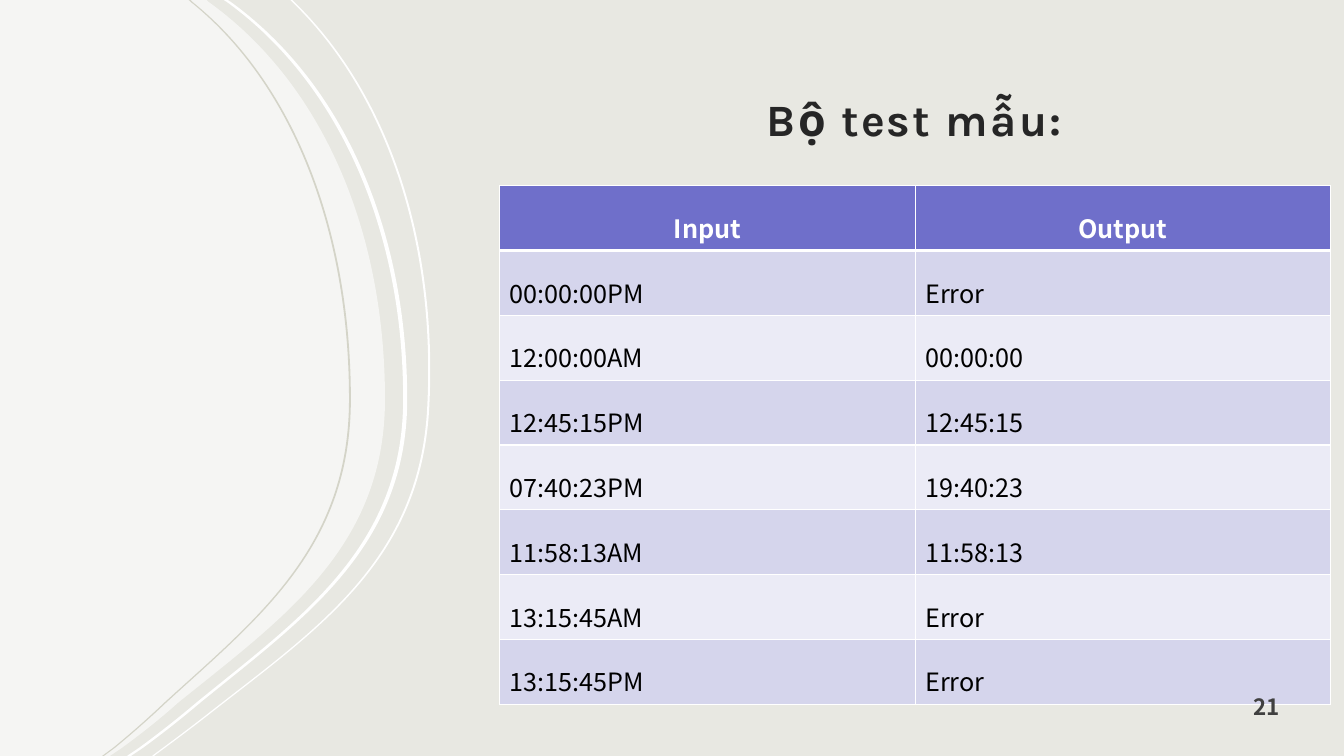
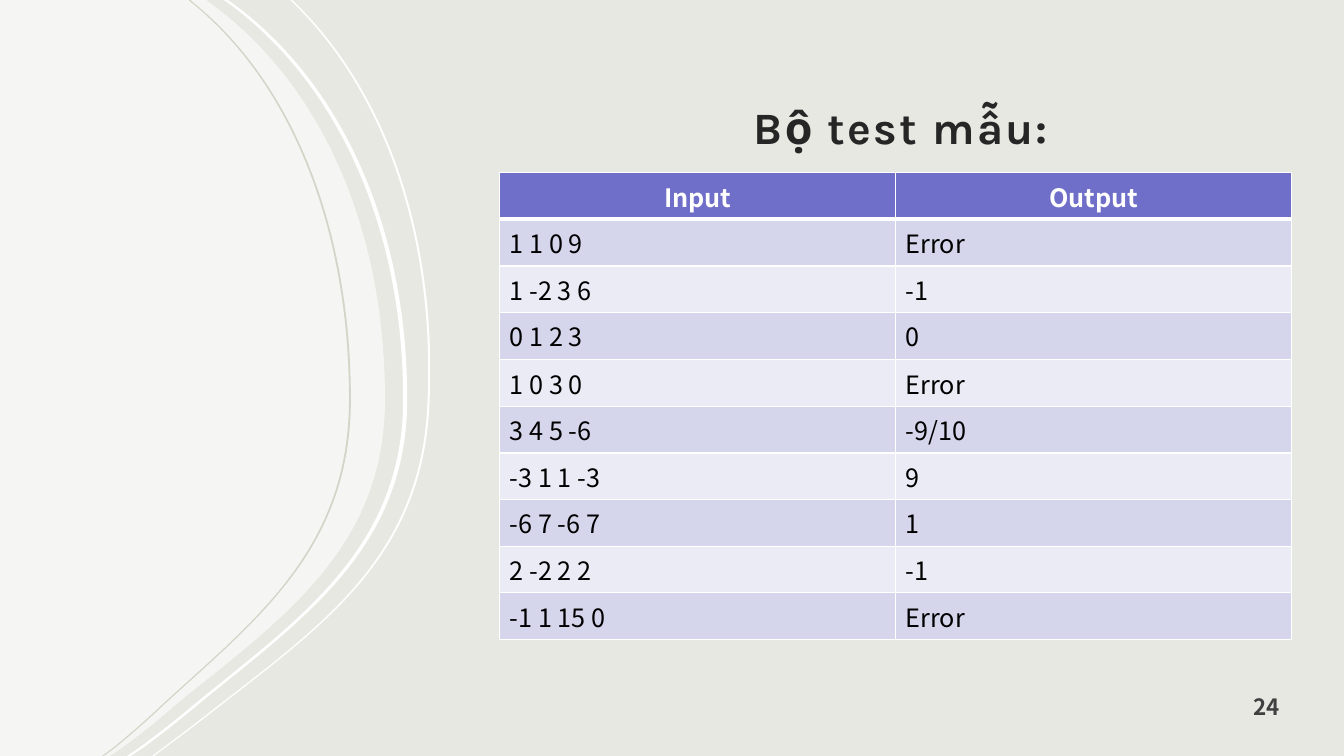
from lxml import etree
from pptx import Presentation
from pptx.dml import color
from pptx.enum import text
from pptx.oxml import ns
from pptx.util import Pt

BACKGROUND, WHITE, SAGE = "E8E8E2", "FFFFFF", "D4D4C8"
TITLE_INK, NUMBER_INK, CELL_INK = "262626", "404040", "000000"
HEADER_FILL, ROW_FILLS = "6F6FCA", ("D5D5EC", "EBEBF6")
TITLE_FONT, BODY_FONT = "Karla", "Noto Sans CJK JP"
TITLE_SIZE = (556, 69)
NUMBER_BOX = (828.3, 485.6, 94.3, 36)

# Each edge is a start, an anchor, three Bezier triples and an end.
EDGE_LENGTH, CURVE_STARTS = 12, (2, 5, 8)
EDGE_YS = (0, 1.4, 59.8, 164.9, 285.1, 391, 441.4, 501.8, 513.4, 524.2, 534.2, 540)
OUTER_YS = (0, 2.2, 67.7, 172.8, 289.4, 399.6, 448.6, 508.3, 519.1, 529.2, 539.3, 540)
PANEL_XS = (147.6, 149, 230.4, 275, 275, 275, 202.3, 127.4, 114.5, 100.8, 87.1, 78.5)
OUTER_XS = (208.8, 211, 277.9, 312.5, 306.7, 301.7, 228.2, 151.9, 138.2, 124.6, 110.9, 110.2)
MIDDLE_XS = (162.7, 164.9, 245.5, 290.9, 290.9, 290.9, 217.4, 143.3, 129.6, 115.9, 102.2, 93.6)
INNER_XS = (136.1, 137.5, 210.2, 250.6, 250.6, 250.6, 185, 118.8, 106.6, 94.3, 82.1, 74.2)
RIBBONS = (
    (OUTER_XS, OUTER_YS, 1.44, WHITE),
    (MIDDLE_XS, EDGE_YS, 2.88, WHITE),
    (INNER_XS, EDGE_YS, 1.3, SAGE),
)

TIME_TESTS = [
    ("Input", "Output"),
    ("00:00:00PM", "Error"),
    ("12:00:00AM", "00:00:00"),
    ("12:45:15PM", "12:45:15"),
    ("07:40:23PM", "19:40:23"),
    ("11:58:13AM", "11:58:13"),
    ("13:15:45AM", "Error"),
    ("13:15:45PM", "Error"),
]
FRACTION_TESTS = [
    ("Input", "Output"),
    ("1 1 0 9", "Error"),
    ("1 -2 3 6", "-1"),
    ("0 1 2 3", "0"),
    ("1 0 3 0", "Error"),
    ("3 4 5 -6", "-9/10"),
    ("-3 1 1 -3", "9"),
    ("-6 7 -6 7", "1"),
    ("2 -2 2 2", "-1"),
    ("-1 1 15 0", "Error"),
]


def rgb(value):
    return color.RGBColor.from_string(value)


def style_font(font, name, size, ink, bold):
    font.name, font.size, font.bold = name, Pt(size), bold
    font.color.rgb = rgb(ink)


def set_frame(frame):
    """Give titles and numbers their shared margins and bottom anchor."""
    frame.word_wrap = True
    frame.auto_size = text.MSO_AUTO_SIZE.NONE
    frame.vertical_anchor = text.MSO_ANCHOR.BOTTOM
    frame.margin_left = frame.margin_right = frame.margin_top = Pt(8.64)
    frame.margin_bottom = Pt(7.2)


def bend_edges(shape, edges):
    """Turn each triple of straight segments into one Bezier curve."""
    outline = shape.element.spPr.find(".//" + ns.qn("a:path"))
    lines = outline.findall(ns.qn("a:lnTo"))
    for edge in range(edges):
        for start in CURVE_STARTS:
            first = edge * EDGE_LENGTH + start - 1
            curve = etree.Element(ns.qn("a:cubicBezTo"))
            lines[first].addprevious(curve)
            for line in lines[first:first + 3]:
                curve.append(line[0])
                outline.remove(line)


def add_outline(page, left, top, points, edges, fill):
    corners = [(Pt(left + x), Pt(top + y)) for x, y in points]
    builder = page.shapes.build_freeform(*corners[0], scale=1.0)
    builder.add_line_segments(corners[1:], close=True)
    shape = builder.convert_to_shape()
    bend_edges(shape, edges)
    shape.shadow.inherit = False
    shape.fill.solid()
    shape.fill.fore_color.rgb = rgb(fill)
    shape.line.fill.background()
    return shape


def draw_swoosh(page, left, top):
    """Draw the pale side panel and its three ribbons."""
    edge = list(zip(PANEL_XS, EDGE_YS))
    panel = add_outline(page, left, top, edge + [(0, 540), (0, 0)], 1, WHITE)
    tint = panel.element.spPr.find(".//" + ns.qn("a:srgbClr"))
    etree.SubElement(tint, ns.qn("a:alpha"), val="60000")
    outlines = [panel]
    for xs, ys, width, fill in RIBBONS:
        outer = list(zip(xs, ys))
        inner = [(x - width, y) for x, y in reversed(outer)]
        outlines.append(add_outline(page, left, top, outer + inner, 2, fill))
    return outlines


def dress_layout(deck, layout):
    """Put the background and the swoosh on the layout."""
    layout.background.fill.solid()
    layout.background.fill.fore_color.rgb = rgb(BACKGROUND)
    sketch = deck.slides[0]
    for outline in draw_swoosh(sketch, 0, 0):
        layout.shapes.element.append(outline.element)


def place_title(page, left, top, wording):
    title = page.shapes.title
    title.left, title.top = Pt(left), Pt(top)
    title.width, title.height = (Pt(length) for length in TITLE_SIZE)
    set_frame(title.text_frame)
    title.text_frame.text = wording
    para = title.text_frame.paragraphs[0]
    para.alignment = text.PP_ALIGN.CENTER
    para.line_spacing = 1.2
    span = para.runs[0]
    style_font(span.font, TITLE_FONT, 32, TITLE_INK, True)
    span.font._element.set("spc", "150")


def set_borders(cell, row):
    widths = {"L": 1, "R": 1, "T": 3 if row == 1 else 1, "B": 3 if row == 0 else 1}
    properties = cell._tc.get_or_add_tcPr()
    for side, width in widths.items():
        line = etree.SubElement(properties, ns.qn("a:ln" + side), w=str(Pt(width)))
        fill = etree.SubElement(line, ns.qn("a:solidFill"))
        etree.SubElement(fill, ns.qn("a:srgbClr"), val=WHITE)


def place_table(page, box, rows, spacing):
    lengths = [Pt(length) for length in box]
    table = page.shapes.add_table(len(rows), len(rows[0]), *lengths).table
    for r, entries in enumerate(rows):
        header = r == 0
        for c, entry in enumerate(entries):
            cell = table.cell(r, c)
            set_borders(cell, r)
            cell.fill.solid()
            cell.fill.fore_color.rgb = rgb(HEADER_FILL if header else ROW_FILLS[(r - 1) % 2])
            cell.text_frame.text = entry
            para = cell.text_frame.paragraphs[0]
            para.alignment = text.PP_ALIGN.CENTER if header else text.PP_ALIGN.LEFT
            para.line_spacing = spacing
            style_font(para.runs[0].font, BODY_FONT, 18, WHITE if header else CELL_INK, header)
    return table


def place_number(page, box, number):
    frame = page.shapes.add_textbox(*(Pt(length) for length in box)).text_frame
    set_frame(frame)
    frame.text = str(number)
    para = frame.paragraphs[0]
    para.alignment = text.PP_ALIGN.RIGHT
    style_font(para.runs[0].font, BODY_FONT, 16, NUMBER_INK, True)


def fill_test_page(page, title_at, table_box, rows, spacing, number):
    place_title(page, *title_at, "Bộ test mẫu:")
    table = place_table(page, table_box, rows, spacing)
    place_number(page, NUMBER_BOX, number)
    return table


def main():
    deck = Presentation()
    deck.slide_width, deck.slide_height = Pt(960), Pt(540)
    layout = deck.slide_layouts[5]
    time_page, fraction_page = (deck.slides.add_slide(layout) for _ in range(2))
    dress_layout(deck, layout)
    fill_test_page(time_page, (375, 41.8), (357, 132.7, 593.4, 304), TIME_TESTS, 1.5, 21)
    fractions = fill_test_page(
        fraction_page, (365.5, 47.5), (357, 123.4, 565.6, 297), FRACTION_TESTS, 1.0, 24)
    fractions.rows[3].height = Pt(33.8)
    deck.save("out.pptx")


if __name__ == "__main__":
    main()
